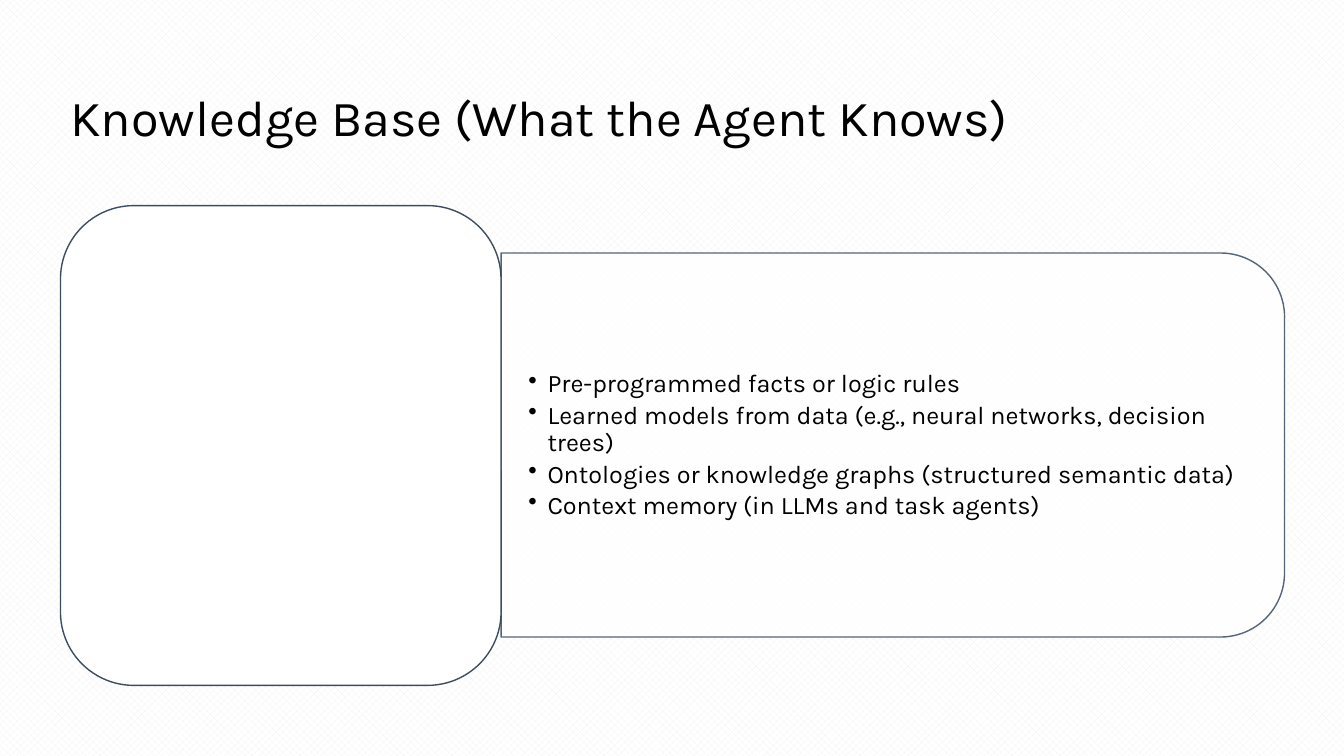
from dataclasses import dataclass

from lxml import etree
from pptx import Presentation
from pptx.dml.color import RGBColor
from pptx.enum.dml import MSO_PATTERN
from pptx.enum.shapes import MSO_SHAPE
from pptx.enum.text import MSO_ANCHOR, PP_ALIGN
from pptx.oxml.ns import qn
from pptx.slide import Slide
from pptx.text.text import TextFrame, _Paragraph
from pptx.util import Inches, Pt

ROUNDED = MSO_SHAPE.ROUNDED_RECTANGLE
ROUNDED_TOP = MSO_SHAPE.ROUND_2_SAME_RECTANGLE
DOTTED = MSO_PATTERN.PERCENT_50
MIDDLE = MSO_ANCHOR.MIDDLE
LEFT = PP_ALIGN.LEFT

WHITE = RGBColor(0xFF, 0xFF, 0xFF)
BLACK = RGBColor(0x00, 0x00, 0x00)
PALE_GREY = RGBColor(0xF2, 0xF2, 0xF2)
SLATE = RGBColor(0x44, 0x54, 0x6A)
DARK_SLATE = RGBColor(0x3E, 0x4C, 0x60)

FONT = "Karla"
BULLET_INDENT = Inches(0.19)

TITLE = "Knowledge Base (What the Agent Knows)"
KNOWLEDGE_SOURCES = [
    "Pre-programmed facts or logic rules",
    "Learned models from data (e.g., neural networks, decision trees)",
    "Ontologies or knowledge graphs (structured semantic data)",
    "Context memory (in LLMs and task agents)",
]


@dataclass(frozen=True)
class Box:
    left: float
    top: float
    width: float
    height: float

    def lengths(self) -> list[int]:
        return [Inches(v) for v in (self.left, self.top, self.width, self.height)]


@dataclass(frozen=True)
class Panel:
    box: Box
    preset: int
    outline: RGBColor
    rotation: int = 0
    opacity: int = 100


@dataclass(frozen=True)
class TextBlock:
    box: Box
    lines: list[str]
    size: int
    inset_x: float = 0.1
    inset_y: float = 0.05
    bulleted: bool = False


SOURCES_PANEL = Panel(Box(6.95, 0.53, 3.81, 7.77), ROUNDED_TOP, SLATE, 90, 90)
TOPIC_PANEL = Panel(Box(0.6, 2.04, 4.37, 4.76), ROUNDED, DARK_SLATE)
TITLE_BLOCK = TextBlock(Box(0.6, 0.47, 11.5, 1.45), [TITLE], 36)
SOURCES_BLOCK = TextBlock(
    Box(4.97, 2.7, 7.59, 3.44), KNOWLEDGE_SOURCES, 18, 0.27, 0.14, bulleted=True
)


def add_panel(slide: Slide, panel: Panel) -> None:
    shape = slide.shapes.add_shape(panel.preset, *panel.box.lengths())
    shape.rotation = panel.rotation
    shape.shadow.inherit = False
    shape.fill.solid()
    shape.fill.fore_color.rgb = WHITE
    shape.line.color.rgb = panel.outline
    shape.line.width = Pt(1)
    if panel.opacity < 100:
        for color in shape.element.spPr.iter(qn("a:srgbClr")):
            etree.SubElement(color, qn("a:alpha"), val=str(panel.opacity * 1000))


def add_bullet(paragraph: _Paragraph) -> None:
    paragraph.space_after = Pt(3)
    properties = paragraph._p.get_or_add_pPr()
    properties.set("marL", str(BULLET_INDENT))
    properties.set("indent", str(-BULLET_INDENT))
    etree.SubElement(properties, qn("a:buChar"), char="•")


def write_lines(frame: TextFrame, block: TextBlock) -> None:
    frame.text = "\n".join(block.lines)
    for paragraph in frame.paragraphs:
        paragraph.alignment = LEFT
        paragraph.line_spacing = 0.9
        if block.bulleted:
            add_bullet(paragraph)
        for run in paragraph.runs:
            run.font.name = FONT
            run.font.size = Pt(block.size)
            run.font.color.rgb = BLACK


def add_text(slide: Slide, block: TextBlock) -> None:
    frame = slide.shapes.add_textbox(*block.box.lengths()).text_frame
    frame.word_wrap = True
    frame.vertical_anchor = MIDDLE
    frame.margin_left = frame.margin_right = Inches(block.inset_x)
    frame.margin_top = frame.margin_bottom = Inches(block.inset_y)
    write_lines(frame, block)


def set_background(slide: Slide) -> None:
    fill = slide.background.fill
    fill.patterned()
    fill.pattern = DOTTED
    fill.fore_color.rgb = PALE_GREY
    fill.back_color.rgb = WHITE


def main() -> None:
    presentation = Presentation()
    presentation.slide_width = Inches(13.33)
    presentation.slide_height = Inches(7.5)
    slide = presentation.slides.add_slide(presentation.slide_layouts[6])
    set_background(slide)
    add_text(slide, TITLE_BLOCK)
    add_panel(slide, SOURCES_PANEL)
    add_text(slide, SOURCES_BLOCK)
    add_panel(slide, TOPIC_PANEL)
    presentation.save("out.pptx")


if __name__ == "__main__":
    main()
